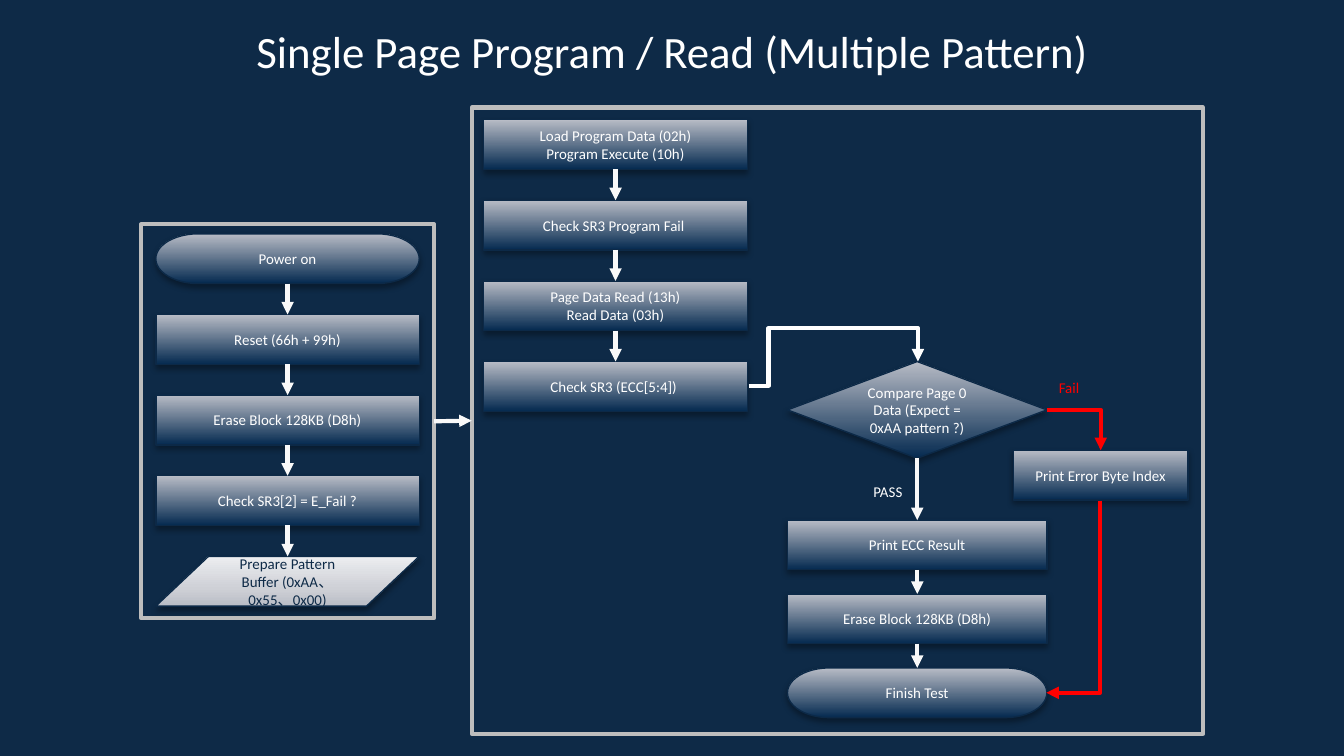
from copy import deepcopy
from itertools import pairwise

from pptx import Presentation
from pptx.dml.color import RGBColor
from pptx.enum.shapes import MSO_CONNECTOR, MSO_SHAPE
from pptx.enum.text import MSO_ANCHOR, MSO_AUTO_SIZE, PP_ALIGN
from pptx.oxml import parse_xml
from pptx.oxml.ns import nsdecls, qn
from pptx.util import Inches, Pt

# Content
TITLE = "Single Page Program / Read (Multiple Pattern)"
TERMINATOR = MSO_SHAPE.FLOWCHART_TERMINATOR
PROCESS = MSO_SHAPE.FLOWCHART_PROCESS
DECISION = MSO_SHAPE.FLOWCHART_DECISION
DATA = MSO_SHAPE.FLOWCHART_DATA

SETUP_STEPS = [
    (TERMINATOR, "Power on"),
    (PROCESS, "Reset (66h + 99h)"),
    (PROCESS, "Erase Block 128KB (D8h)"),
    (PROCESS, "Check SR3[2] = E_Fail ?"),
    (DATA, "Prepare Pattern Buffer (0xAA、0x55、0x00)"),
]
PROGRAM_STEPS = [
    (PROCESS, "Load Program Data (02h)\vProgram Execute (10h)"),
    (PROCESS, "Check SR3 Program Fail "),
    (PROCESS, "Page Data Read (13h)\nRead Data (03h)"),
    (PROCESS, "Check SR3 (ECC[5:4]) "),
]
RESULT_STEPS = [
    (PROCESS, "Print ECC Result"),
    (PROCESS, "Erase Block 128KB (D8h)"),
    (TERMINATOR, "Finish Test"),
]
LABELS = [("PASS", 6.4, 3.54, 0.43, "white"), ("Fail", 7.78, 2.77, 0.36, "red")]

COLORS = {
    "background": "0E2A47",
    "white": "FFFFFF",
    "arrow": "F9F9F9",
    "red": "FF0000",
    "frame": "BDBDBD",
    "outline": "0C2947",
}
STEP_GRADIENT = [("052A50", 0), ("B8BCC6", 1)]
DATA_GRADIENT = [("B9BCC5", 0), ("CED0D6", 0.35), ("ECEDF0", 1)]
FONT = "Calibri"
STEP_HEIGHT = 0.37
TOP, LEFT, BOTTOM, RIGHT = range(4)


def rgb(name):
    return RGBColor.from_string(COLORS[name])


def format_text(text_frame, size, color, alignment):
    for paragraph in text_frame.paragraphs:
        paragraph.alignment = alignment
        paragraph.font.name = FONT
        paragraph.font.size = Pt(size)
        paragraph.font.color.rgb = rgb(color)


def fill_gradient(shape, gradient):
    shape.fill.gradient()
    shape.fill.gradient_angle = 90
    stop_list = shape._element.spPr.find(qn("a:gradFill")).find(qn("a:gsLst"))
    while len(stop_list) < len(gradient):
        stop_list.append(deepcopy(stop_list[0]))
    for stop, (color, position) in zip(shape.fill.gradient_stops, gradient):
        stop.color.rgb = RGBColor.from_string(color)
        stop.position = position


def add_step(kind, text, left, top, width, height=STEP_HEIGHT):
    shape = slide.shapes.add_shape(
        kind, Inches(left), Inches(top), Inches(width), Inches(height))
    fill_gradient(shape, DATA_GRADIENT if kind == DATA else STEP_GRADIENT)
    shape.line.color.rgb = rgb("outline")
    shape.line.width = Pt(0.75)
    # Soft shadow below the step
    shape.shadow.inherit = False
    shape._element.spPr.find(qn("a:effectLst")).append(parse_xml(
        f'<a:outerShdw {nsdecls("a")} blurRad="40000" dist="23000" dir="5400000" '
        'rotWithShape="0"><a:srgbClr val="000000"><a:alpha val="35000"/>'
        '</a:srgbClr></a:outerShdw>'))
    shape.text_frame.text = text
    shape.text_frame.vertical_anchor = MSO_ANCHOR.MIDDLE
    format_text(shape.text_frame, 8, "background" if kind == DATA else "white",
                PP_ALIGN.CENTER)
    return shape


def add_arrow(start, end, color="arrow", kind=MSO_CONNECTOR.STRAIGHT):
    connector = slide.shapes.add_connector(kind, *map(Inches, start + end))
    connector.line.color.rgb = rgb(color)
    connector.line.width = Pt(2.25)
    properties = connector._element.spPr
    properties.find(qn("a:ln")).append(
        parse_xml(f'<a:tailEnd {nsdecls("a")} type="triangle"/>'))
    properties.append(parse_xml(f'<a:effectLst {nsdecls("a")}/>'))
    return connector


def add_bent_arrow(start, end, color, preset, adjustments=(), rotation=0):
    connector = add_arrow(start, end, color, MSO_CONNECTOR.ELBOW)
    properties = connector._element.spPr
    if rotation:
        properties.find(qn("a:xfrm")).set("rot", str(rotation * 60000))
    geometry = properties.find(qn("a:prstGeom"))
    geometry.set("prst", preset)
    guides = geometry.find(qn("a:avLst"))
    for number, value in enumerate(adjustments, 1):
        guides.append(parse_xml(
            f'<a:gd {nsdecls("a")} name="adj{number}" fmla="val {value}"/>'))


def join(first, second, begin_site=BOTTOM, end_site=TOP, glue_end=True):
    x = (second.left + second.width / 2) / Inches(1)
    connector = add_arrow((x, first.top / Inches(1)), (x, second.top / Inches(1)))
    connector.begin_connect(first, begin_site)
    if glue_end:
        connector.end_connect(second, end_site)


def add_column(steps, left, top, width, pitch):
    shapes = [add_step(kind, text, left, top + row * pitch, width)
              for row, (kind, text) in enumerate(steps)]
    for (first, second), (kind, _) in zip(pairwise(shapes), steps[1:]):
        join(first, second, glue_end=kind != DATA)
    return shapes


def add_frame(left, top, width, height):
    frame = slide.shapes.add_shape(
        PROCESS, Inches(left), Inches(top), Inches(width), Inches(height))
    frame.shadow.inherit = False
    frame.fill.background()
    frame.line.color.rgb = rgb("frame")
    frame.line.width = Pt(2.25)
    return frame


# Widescreen slide, 16 to 9
presentation = Presentation()
presentation.slide_width = Inches(10)
presentation.slide_height = Inches(10 * 9 / 16)
slide = presentation.slides.add_slide(presentation.slide_layouts[5])
slide.background.fill.solid()
slide.background.fill.fore_color.rgb = rgb("background")

# Title
title = slide.shapes.title
title.left, title.top = Inches(0.79), Inches(0.08)
title.width, title.height = Inches(8.42), Inches(0.6)
title_frame = title.text_frame
title_frame.text = TITLE
title_frame.auto_size = MSO_AUTO_SIZE.NONE
title_frame.vertical_anchor = MSO_ANCHOR.MIDDLE
title_frame.margin_top = title_frame.margin_bottom = Inches(0.1)
format_text(title_frame, 24, "white", PP_ALIGN.CENTER)

# Frames around the two stages
setup_frame = add_frame(1.05, 1.67, 2.18, 2.93)
test_frame = add_frame(3.51, 0.8, 5.44, 4.66)
join(setup_frame, test_frame, RIGHT, LEFT)

# Columns of steps
add_column(SETUP_STEPS, 1.16, 1.74, 1.96, 0.6)
add_column(PROGRAM_STEPS, 3.6, 0.89, 1.96, 0.6)
results = add_column(RESULT_STEPS, 5.86, 3.87, 1.93, 0.55)

# Comparison and its two branches
compare = add_step(DECISION, "Compare Page 0 Data (Expect = 0xAA pattern ?)",
                   5.86, 2.69, 1.93, 0.72)
add_step(PROCESS, "Print Error Byte Index", 7.54, 3.35, 1.3)
join(compare, results[0])
add_bent_arrow((5.57, 2.87), (6.83, 2.69), "white", "bentConnector4", (11800, 237500))
add_bent_arrow((7.79, 3.05), (8.19, 3.35), "red", "bentConnector2")
add_bent_arrow((7.27, 4.24), (8.7, 4.64), "red", "bentConnector2", rotation=90)

# Branch labels
for text, left, top, width, color in LABELS:
    label = slide.shapes.add_textbox(
        Inches(left), Inches(top), Inches(width), Inches(0.24))
    label.text_frame.text = text
    label.text_frame.word_wrap = False
    label.text_frame.auto_size = MSO_AUTO_SIZE.SHAPE_TO_FIT_TEXT
    format_text(label.text_frame, 8, color, PP_ALIGN.LEFT)

presentation.save("out.pptx")
